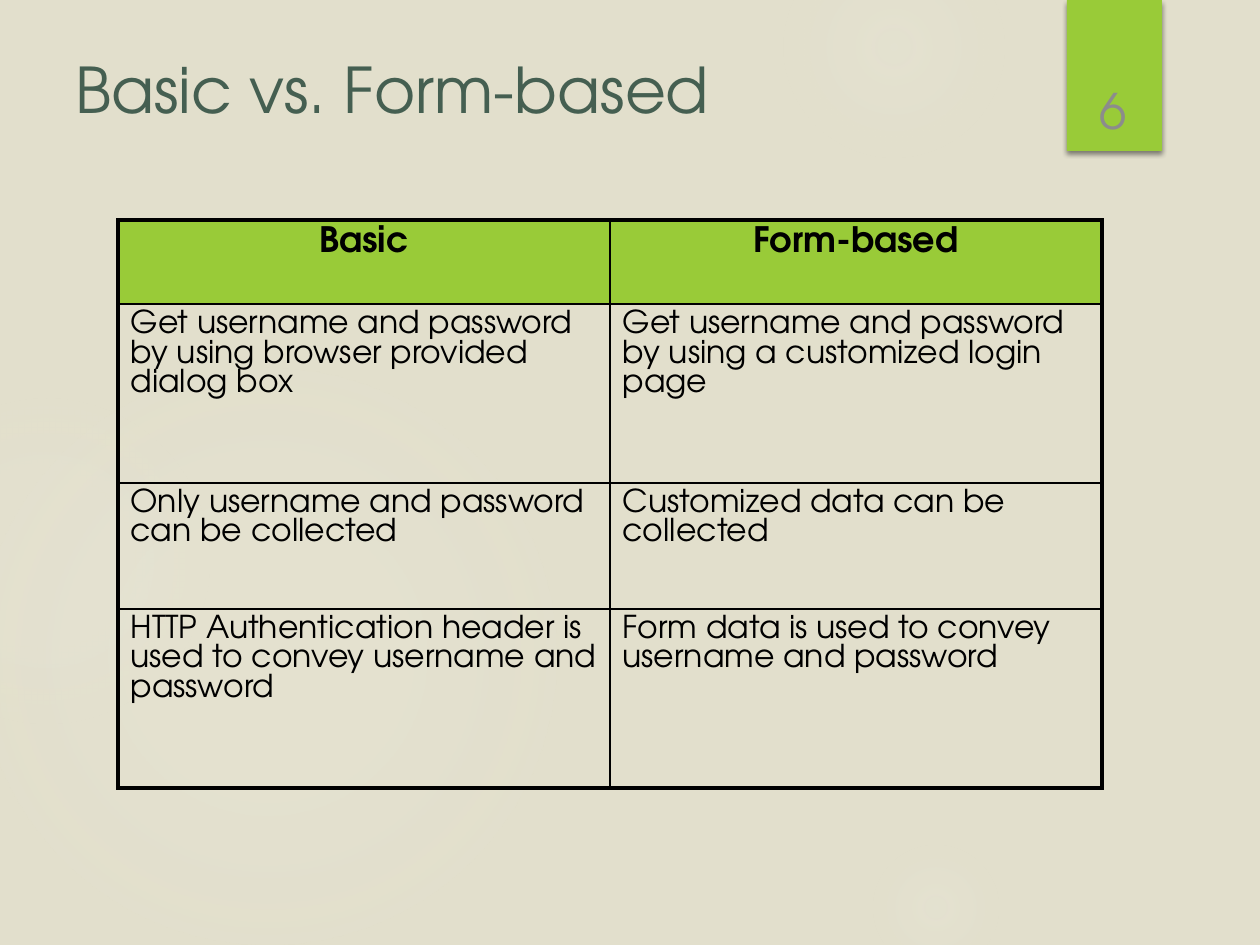
from pptx import Presentation
from pptx.dml.color import RGBColor as Rgb
from pptx.enum.shapes import MSO_SHAPE as Geo
from pptx.enum.text import MSO_ANCHOR as Anchor, PP_ALIGN as Align
from pptx.oxml.ns import qn
from pptx.util import Emu, Pt
from lxml.etree import SubElement as Sub

HUES = {"back": "E2DFCC", "glow": "F3F2EB", "lime": "99CB38",
        "title": "455F51", "page": "8C8C8C", "ink": "000000"}
FONT = "TeX Gyre Adventor"
SCALE = 914400 / 126
THICK, THIN = 2.25, 1


def px(num):
    return Emu(round(num * SCALE))


def hue(name):
    return Rgb.from_string(HUES[name])


def tint(node, name, alpha=100):
    color = Sub(node, qn("a:srgbClr"), val=HUES[name])
    if alpha < 100:
        Sub(color, qn("a:alpha"), val=str(alpha * 1000))


class Deck:
    def __init__(self, wide, high):
        self.file = Presentation()
        self.file.slide_width, self.file.slide_height = px(wide), px(high)
        self.slide = self.file.slides.add_slide(self.file.slide_layouts[6])
        back = self.slide.background.fill
        back.solid()
        back.fore_color.rgb = hue("back")

    def shape(self, kind, *box):
        item = self.slide.shapes.add_shape(kind, *map(px, box))
        item.shadow.inherit = False
        item.line.fill.background()
        return item

    def glow(self, left, top, size, stops):
        item = self.shape(Geo.OVAL, left, top, size, size)
        item.fill.background()
        props = item.element.spPr
        blank = props.find(qn("a:noFill"))
        grad = Sub(props, qn("a:gradFill"), rotWithShape="1")
        props.replace(blank, grad)
        marks = Sub(grad, qn("a:gsLst"))
        for spot, alpha in stops:
            tint(Sub(marks, qn("a:gs"), pos=str(spot * 1000)), "glow", alpha)
        ring = Sub(grad, qn("a:path"), path="circle")
        Sub(ring, qn("a:fillToRect"), l="50000", t="50000", r="50000", b="50000")

    def flag(self, *box):
        item = self.shape(Geo.RECTANGLE, *box)
        item.fill.solid()
        item.fill.fore_color.rgb = hue("lime")
        cast = Sub(item.element.spPr.find(qn("a:effectLst")), qn("a:outerShdw"),
                   blurRad=str(Pt(3)), dist=str(Pt(2)), dir="5400000", rotWithShape="0")
        tint(cast, "ink", 45)

    def run(self, para, words, size, color, bold=False, align=Align.LEFT):
        para.alignment = align
        run = para.add_run()
        run.text = words
        font = run.font
        font.name, font.size, font.bold = FONT, Pt(size), bold
        font.color.rgb = hue(color)

    def text(self, box, words, size, color, align=Align.LEFT, anchor=Anchor.TOP, inset=6):
        frame = self.slide.shapes.add_textbox(*map(px, box)).text_frame
        frame.word_wrap = True
        frame.vertical_anchor = anchor
        frame.margin_top = px(inset)
        self.run(frame.paragraphs[0], words, size, color, align=align)

    def edge(self, cell, sides):
        props = cell._tc.get_or_add_tcPr()
        for spot, (side, width) in enumerate(sides.items()):
            line = Sub(props, qn("a:ln" + side), w=str(Pt(width)))
            tint(Sub(line, qn("a:solidFill")), "ink")
            props.insert(spot, line)

    def table(self, left, top, cols, rows, data):
        grid = self.slide.shapes.add_table(
            len(rows), len(cols), *map(px, (left, top, sum(cols), sum(rows)))).table
        grid.first_row = grid.horz_banding = False
        for col, wide in zip(grid.columns, cols):
            col.width = px(wide)
        for row, high in zip(grid.rows, rows):
            row.height = px(high)
        for y, line in enumerate(data):
            for x, words in enumerate(line):
                cell, head = grid.cell(y, x), y == 0
                if head:
                    cell.fill.solid()
                    cell.fill.fore_color.rgb = hue("lime")
                else:
                    cell.fill.background()
                para = cell.text_frame.paragraphs[0]
                self.run(para, words, 20 if head else 18, "ink", head,
                         Align.CENTER if head else Align.LEFT)
                gap = Sub(para._p.get_or_add_pPr(), qn("a:spcBef"))
                Sub(gap, qn("a:spcPct"), val="20000")
                outer = {"L": x == 0, "R": x == len(cols) - 1,
                         "T": head, "B": y == len(rows) - 1}
                self.edge(cell, {side: THICK if far else THIN
                                 for side, far in outer.items()})


def main():
    deck = Deck(1260, 945)
    deck.glow(784, -63, 220, [(0, 14), (36, 7), (73, 0)])
    deck.glow(868, 840, 136, [(0, 14), (36, 7), (66, 0)])
    deck.glow(-21, 368, 577, [(0, 11), (36, 10), (75, 0)])
    deck.glow(-116, 399, 325, [(0, 8), (36, 8), (72, 0)])
    deck.flag(1067, 0, 95, 151)
    deck.text((63, 31, 1134, 158), "Basic vs. Form-based", 36, "title", inset=20)
    deck.table(118, 220, [492] * 2, [84, 179, 126, 179], [
        ("Basic", "Form-based"),
        ("Get username and password by using browser provided dialog box",
         "Get username and password by using a customized login page"),
        ("Only username and password can be collected",
         "Customized data can be collected"),
        ("HTTP Authentication header is used to convey username and password",
         "Form data is used to convey username and password"),
    ])
    deck.text((1070, 40, 87, 106), "6", 28, "page", Align.CENTER, Anchor.BOTTOM)
    deck.file.save("out.pptx")


if __name__ == "__main__":
    main()
